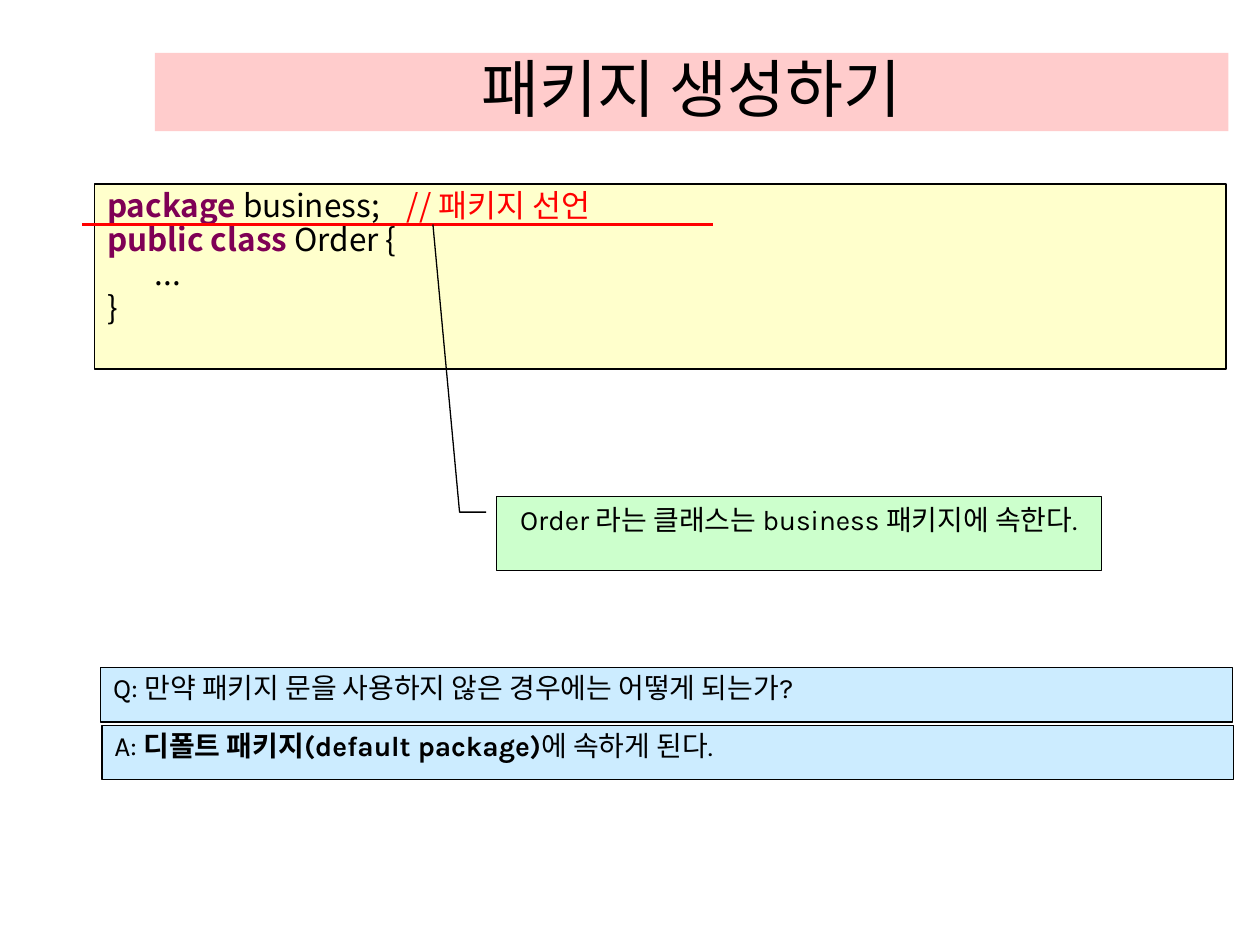
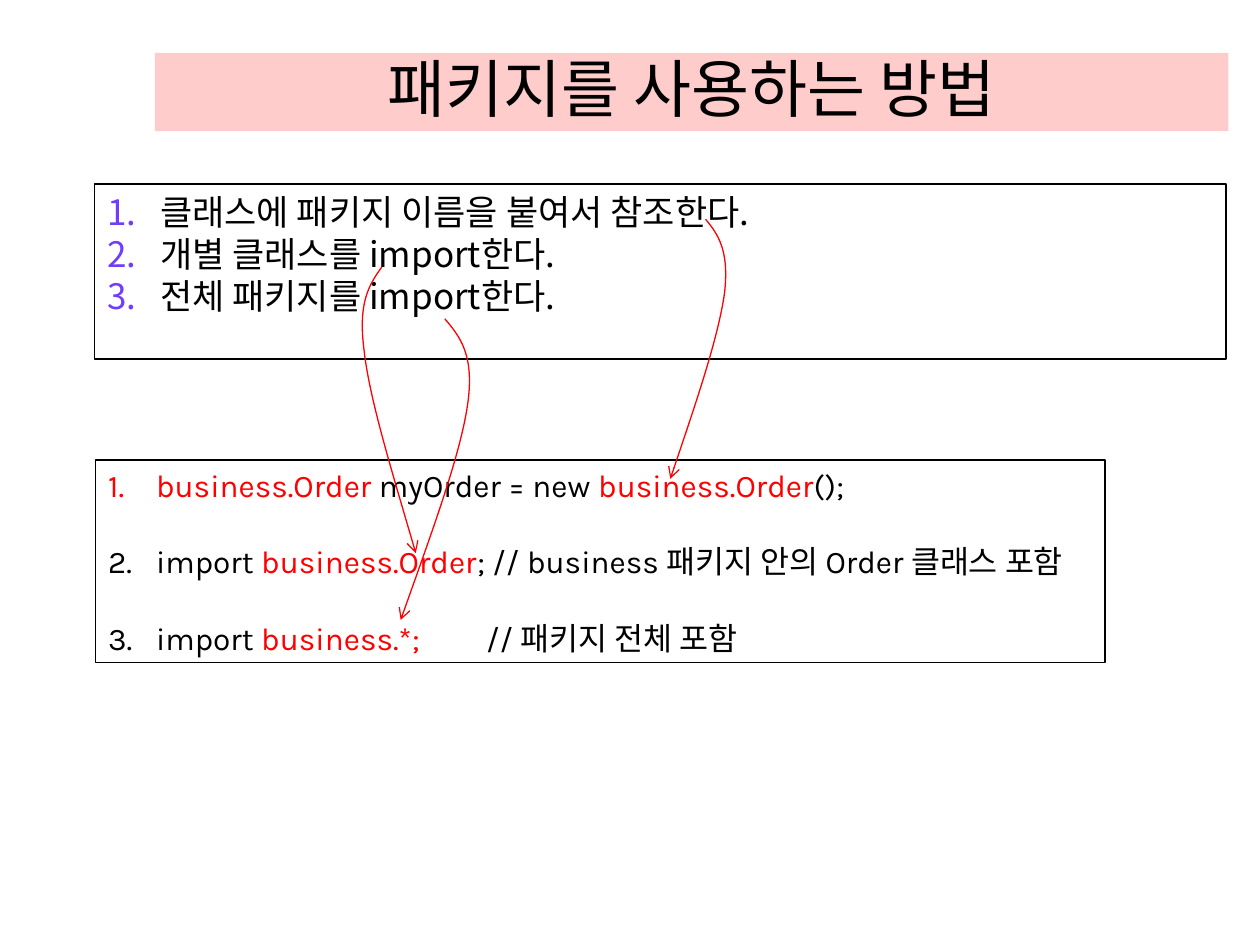
from lxml.etree import SubElement
from pptx import Presentation
from pptx.dml.color import RGBColor
from pptx.enum.shapes import MSO_CONNECTOR, MSO_SHAPE
from pptx.enum.text import MSO_ANCHOR, MSO_AUTO_SIZE, PP_ALIGN
from pptx.oxml.ns import qn
from pptx.util import Inches, Pt

BLACK = RGBColor(0x00, 0x00, 0x00)
RED = RGBColor(0xFF, 0x00, 0x00)
PLUM = RGBColor(0x7F, 0x00, 0x55)
PINK = RGBColor(0xFF, 0xCC, 0xCC)
CREAM = RGBColor(0xFF, 0xFF, 0xCC)
GREEN = RGBColor(0xCC, 0xFF, 0xCC)
SKY = RGBColor(0xCC, 0xEC, 0xFF)
VIOLET = RGBColor(0x70, 0x3D, 0xFF)
SANS, LATIN = "Noto Sans CJK KR", "Karla"

# Content: each paragraph is a list of (text, colour, bold)
ORDER = [
    [("package ", PLUM, True), ("business;\t", BLACK, False),
     ("// 패키지 선언", RED, False)],
    [("public class", PLUM, True), (" Order {", BLACK, False)],
    [("\t...", BLACK, False)],
    [("}", BLACK, False)],
]
NOTE = [[("Order 라는 클래스는 business 패키지에 속한다.", BLACK, False)]]
FAQ = [
    [("Q: 만약 패키지 문을 사용하지 않은 경우에는 어떻게 되는가?", BLACK, False)],
    [("A: ", BLACK, False), ("디폴트 패키지(default package)", BLACK, True),
     ("에 속하게 된다.", BLACK, False)],
]
WAYS = [[(way, BLACK, False)] for way in (
    "클래스에 패키지 이름을 붙여서 참조한다.",
    "개별 클래스를 import한다.",
    "전체 패키지를 import한다.",
)]
USES = [
    [("business.Order", RED, False), (" myOrder = new ", BLACK, False),
     ("business.Order", RED, False), ("();", BLACK, False)],
    [("import ", BLACK, False), ("business.Order", RED, False),
     ("; // business 패키지 안의 Order 클래스 포함", BLACK, False)],
    [("import ", BLACK, False), ("business.*;", RED, False),
     (" \t// 패키지 전체 포함", BLACK, False)],
]
# Start point, then three points for each curve
ARROWS = [
    [(5.6, 1.74), (5.7, 1.86), (5.79, 1.99), (5.75, 2.33),
     (5.7, 2.68), (5.51, 3.24), (5.32, 3.8)],
    [(3.03, 2.12), (2.93, 2.26), (2.84, 2.4), (2.89, 2.78),
     (2.93, 3.15), (3.12, 3.77), (3.3, 4.39)],
    [(3.53, 2.53), (3.65, 2.67), (3.77, 2.82), (3.71, 3.22),
     (3.65, 3.62), (3.41, 4.27), (3.18, 4.92)],
]


def place(shape, left, top, width, height):
    shape.left, shape.top = Inches(left), Inches(top)
    shape.width, shape.height = Inches(width), Inches(height)


def paint(shape, fill=None, line=BLACK):
    if fill is None:
        shape.fill.background()
    else:
        shape.fill.solid()
        shape.fill.fore_color.rgb = fill
    if line is None:
        shape.line.fill.background()
    else:
        shape.line.color.rgb = line
        shape.line.width = Pt(0.75)


def write(shape, paras, size, face, indent=0.0, number=None, gap=0,
          spacing=1.0, align=PP_ALIGN.LEFT, anchor=MSO_ANCHOR.TOP):
    """Fill a shape with paragraphs; number is the bullet colour, if any."""
    frame = shape.text_frame
    frame.word_wrap = True
    frame.auto_size = MSO_AUTO_SIZE.NONE
    frame.vertical_anchor = anchor
    for i, parts in enumerate(paras):
        para = frame.paragraphs[0] if i == 0 else frame.add_paragraph()
        para.alignment = align
        para.line_spacing = spacing
        para.space_before = Pt(gap if i else 0)
        para.font.size, para.font.name = Pt(size), face
        props = para._p.get_or_add_pPr()
        props.set("marL", str(Inches(indent)))
        props.set("indent", str(-Inches(indent)))
        bullet(props, number or None, parts[0][1])
        for text, colour, bold in parts:
            run = para.add_run()
            run.text = text
            font = run.font
            font.size, font.name = Pt(size), face
            font.bold, font.color.rgb = bold, colour
            SubElement(font._element, qn("a:ea"), typeface=SANS)


def bullet(props, number, first):
    """Add bullet marks ahead of the default run properties."""
    last = props.find(qn("a:defRPr"))
    if number is None:
        marks = [SubElement(props, qn("a:buNone"))]
    else:
        tint = SubElement(props, qn("a:buClr"))
        shade = first if number == "text" else number
        SubElement(tint, qn("a:srgbClr"), val=str(shade))
        face = SubElement(props, qn("a:buFontTx"))
        marks = [tint, face, SubElement(props, qn("a:buAutoNum"), type="arabicPeriod")]
    for mark in marks:
        last.addprevious(mark)


def start(deck, title, height, fill=None):
    """Add a slide with its title band and framed body."""
    slide = deck.slides.add_slide(deck.slide_layouts[1])
    head, body = slide.placeholders
    place(head, 1.23, 0.42, 8.52, 0.62)
    paint(head, PINK, None)
    write(head, [[(title, BLACK, False)]], 36, SANS,
          align=PP_ALIGN.CENTER, anchor=MSO_ANCHOR.BOTTOM)
    place(body, 0.75, 1.46, 8.98, height)
    paint(body, fill)
    return slide, body


def add_box(slide, kind, spot, fill):
    box = slide.shapes.add_shape(kind, *map(Inches, spot))
    box.shadow.inherit = False
    paint(box, fill)
    return box


def add_arrow(slide, points):
    """Draw a chain of Bezier curves that ends in an open arrowhead."""
    pts = [(Inches(x), Inches(y)) for x, y in points]
    build = slide.shapes.build_freeform(*pts[0])
    build.add_line_segments(pts[1:], close=False)
    curve = build.convert_to_shape()
    curve.shadow.inherit = False
    paint(curve, None, RED)
    steps = curve._element.xpath(".//a:lnTo")
    for i in range(0, len(steps), 3):
        bend = SubElement(steps[i].getparent(), qn("a:cubicBezTo"))
        for step in steps[i:i + 3]:
            bend.append(step[0])
            step.getparent().remove(step)
    SubElement(curve.line._get_or_add_ln(), qn("a:tailEnd"), type="arrow")


def make_slide(deck):
    slide, body = start(deck, "패키지 생성하기", 1.47, CREAM)
    write(body, ORDER, 18, SANS, 0.38, spacing=0.9)

    # Red rule under the declaration
    rule = slide.shapes.add_connector(
        MSO_CONNECTOR.STRAIGHT, *map(Inches, (0.65, 1.78, 5.66, 1.78)))
    rule.line.color.rgb, rule.line.width = RED, Pt(1.5)
    SubElement(rule._element.spPr, qn("a:effectLst"))

    # Callout that points to the rule
    note = add_box(slide, MSO_SHAPE.LINE_CALLOUT_2, (3.94, 3.94, 4.8, 0.59), GREEN)
    for i, value in enumerate((0.211, -0.017, 0.211, -0.061, -3.658, -0.105)):
        note.adjustments[i] = value
    write(note, NOTE, 16, LATIN, align=PP_ALIGN.CENTER)

    # Question and answer
    for i, para in enumerate(FAQ):
        row = add_box(slide, MSO_SHAPE.RECTANGLE,
                      (0.8 + 0.01 * i, 5.3 + 0.46 * i, 8.98, 0.43), SKY)
        write(row, [para], 16, LATIN, 0.38, spacing=0.9)


def use_slide(deck):
    slide, body = start(deck, "패키지를 사용하는 방법", 1.39)
    write(body, WAYS, 20, SANS, 0.42, VIOLET)

    # Code for each way
    code = add_box(slide, MSO_SHAPE.RECTANGLE, (0.76, 3.65, 8.01, 1.61), None)
    write(code, USES, 18, LATIN, 0.38, "text", gap=22, anchor=MSO_ANCHOR.MIDDLE)
    code.text_frame.word_wrap = False

    # Arrows from each way to its code
    for points in ARROWS:
        add_arrow(slide, points)


def main():
    deck = Presentation()
    deck.slide_width, deck.slide_height = Inches(10), Inches(7.5)
    make_slide(deck)
    use_slide(deck)
    deck.save("out.pptx")


if __name__ == "__main__":
    main()
